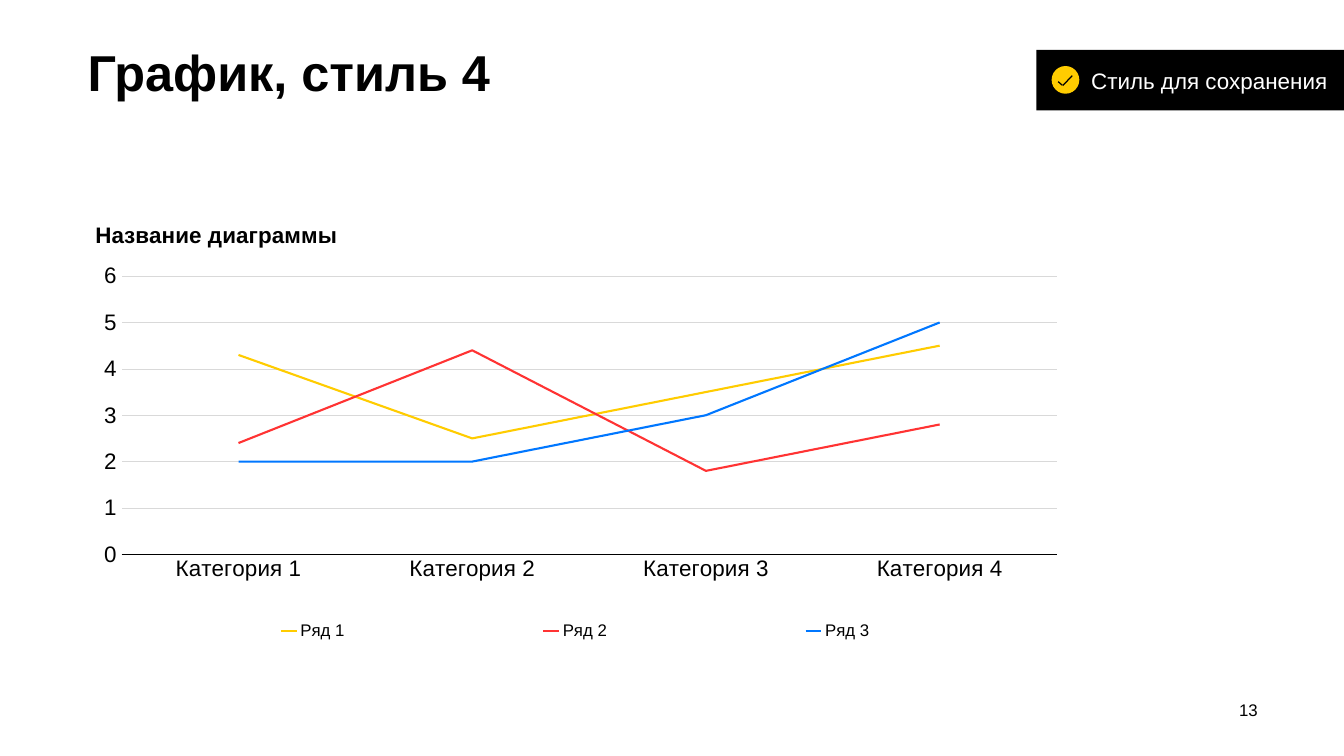
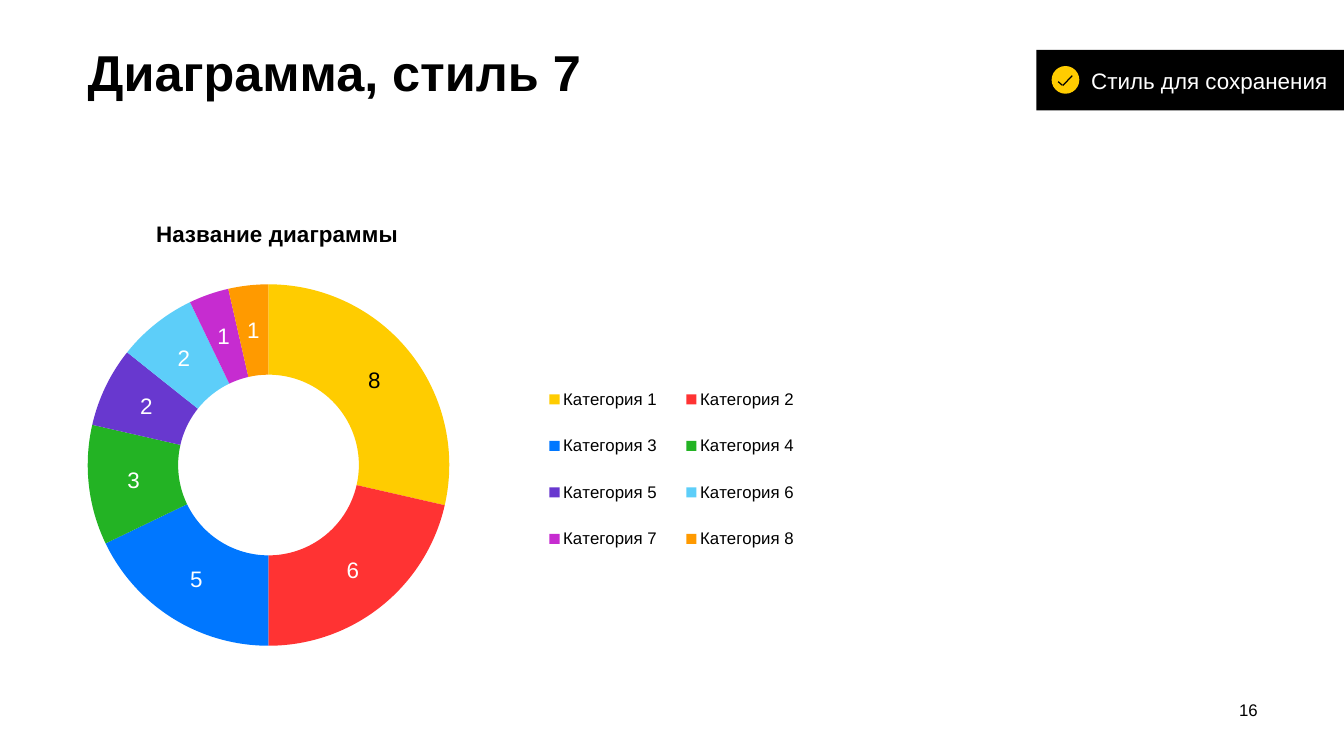
from lxml import etree
from pptx import Presentation
from pptx.chart.data import CategoryChartData
from pptx.dml.color import RGBColor
from pptx.enum.chart import XL_CHART_TYPE, XL_LEGEND_POSITION, XL_TICK_MARK
from pptx.enum.shapes import MSO_CONNECTOR, MSO_SHAPE
from pptx.enum.text import MSO_ANCHOR, PP_ALIGN
from pptx.oxml.ns import qn
from pptx.util import Pt

LINE, RING = XL_CHART_TYPE.LINE, XL_CHART_TYPE.DOUGHNUT
BOTTOM = XL_LEGEND_POSITION.BOTTOM
NONE, OUT = XL_TICK_MARK.NONE, XL_TICK_MARK.OUTSIDE
RECT, OVAL = MSO_SHAPE.RECTANGLE, MSO_SHAPE.OVAL
STRAIGHT = MSO_CONNECTOR.STRAIGHT
MIDDLE, LEFT, RIGHT = MSO_ANCHOR.MIDDLE, PP_ALIGN.LEFT, PP_ALIGN.RIGHT

FONT = "Arial"
HEX = {
    "black": "000000", "white": "FFFFFF", "grid": "D9D9D9",
    "yellow": "FFCC00", "red": "FF3333", "blue": "0077FF",
    "green": "23B324", "violet": "6838CF", "sky": "5DCEF9",
    "pink": "C62CD0", "orange": "FF9A00",
}
RGB = {name: RGBColor.from_string(code) for name, code in HEX.items()}
HUES = ["yellow", "red", "blue", "green", "violet", "sky", "pink", "orange"]


def style(font, size, hue="black", bold=False):
    font.name, font.size, font.bold = FONT, Pt(size), bold
    font.color.rgb = RGB[hue]


def place(node, index, **spots):
    """Give a chart part a manual layout, in fractions of the chart."""
    for old in node.findall(qn("c:layout")):
        node.remove(old)
    layout = etree.Element(qn("c:layout"))
    manual = etree.SubElement(layout, qn("c:manualLayout"))
    for tag, value in spots.items():
        etree.SubElement(manual, qn("c:" + tag)).set("val", str(value))
    node.insert(index, layout)


# Content: heading, page, chart kind, chart top and height, series,
# then the layouts of chart title, plot and legend
PAGES = [
    ("График, стиль 4", 13, LINE, 249.84, 685.44,
     {"Ряд 1": (4.3, 2.5, 3.5, 4.5),
      "Ряд 2": (2.4, 4.4, 1.8, 2.8),
      "Ряд 3": (2, 2, 3, 5)},
     (0.003, 0.086), (0.029, 0.211, 0.799, 0.58), (0, 0.9, 0.833, 0.1)),
    ("Диаграмма, стиль 7", 16, RING, 275.04, 693.36,
     {"Series 1": (8, 6, 5, 3, 2, 2, 1, 1)},
     (0.055, 0.046), (0, 0.187, 0.309, 0.749), (0.374, 0.35, 0.25, 0.44)),
]

deck = Presentation()
deck.slide_width, deck.slide_height = Pt(1919.52), Pt(1080)

for head, page, kind, top, high, rows, name_at, plot_at, key_at in PAGES:
    slide = deck.slides.add_slide(deck.slide_layouts[6])

    # Heading and page number
    for text, box, inset, size, bold, align in [
        (head, (125.28, 43.2, 1671.84, 114.48), 15.84, 72, True, LEFT),
        (str(page), (1710, 993.6, 86.4, 34.56), 5.76, 24, False, RIGHT),
    ]:
        frame = slide.shapes.add_textbox(*map(Pt, box)).text_frame
        frame.word_wrap = True
        frame.margin_left = frame.margin_right = frame.margin_bottom = 0
        frame.margin_top = Pt(inset)
        frame.text = text
        line = frame.paragraphs[0]
        line.alignment = align
        style(line.runs[0].font, size, bold=bold)
    frame.vertical_anchor = MIDDLE

    # Chart with its title and legend
    data = CategoryChartData()
    count = len(next(iter(rows.values())))
    data.categories = [f"Категория {n}" for n in range(1, count + 1)]
    for name, values in rows.items():
        data.add_series(name, values)
    chart = slide.shapes.add_chart(
        kind, Pt(125.28), Pt(top), Pt(1671.12), Pt(high), data).chart
    style(chart.font, 10)
    chart.has_title = chart.has_legend = True
    title, key, plot = chart.chart_title, chart.legend, chart.plots[0]
    title.text_frame.text = "Название диаграммы"
    style(title.text_frame.paragraphs[0].runs[0].font, 32, bold=True)
    key.position, key.include_in_layout = BOTTOM, False
    style(key.font, 24)
    area = chart.element.find(".//" + qn("c:plotArea"))
    title_node = chart.element.find(".//" + qn("c:title"))
    key_node = chart.element.find(".//" + qn("c:legend"))
    x, y = name_at
    place(title_node, 1, xMode="edge", yMode="edge", x=x, y=y)
    x, y, w, h = plot_at
    place(area, 0, layoutTarget="inner", xMode="edge", yMode="edge",
          x=x, y=y, w=w, h=h)
    x, y, w, h = key_at
    place(key_node, 1, xMode="edge", yMode="edge", x=x, y=y, w=w, h=h)
    plot.vary_by_categories = kind == RING

    if kind == LINE:
        # Axes and lines
        cats, vals = chart.category_axis, chart.value_axis
        for axis in (cats, vals):
            style(axis.tick_labels.font, 32)
            axis.minor_tick_mark = NONE
        cats.major_tick_mark, vals.major_tick_mark = NONE, OUT
        cats.format.line.color.rgb = RGB["black"]
        cats.format.line.width = Pt(1)
        vals.format.line.fill.background()
        vals.minimum_scale, vals.maximum_scale, vals.major_unit = 0, 6, 1
        grid = vals.major_gridlines.format.line
        grid.color.rgb, grid.width = RGB["grid"], Pt(1)
        for series, hue in zip(plot.series, HUES):
            series.smooth = False
            series.format.line.color.rgb = RGB[hue]
            series.format.line.width = Pt(3)
    else:
        # Ring slices and their values
        area.find(".//" + qn("c:holeSize")).set("val", "65")
        series = plot.series[0]
        for n, hue in enumerate(HUES):
            fill = series.points[n].format.fill
            fill.solid()
            fill.fore_color.rgb = RGB[hue]
        labels = series.data_labels
        labels.show_value = True
        style(labels.font, 32, "white")
        style(series.points[0].data_label.font, 32)

    # Ribbon with a check mark
    group = slide.shapes.add_group_shape()
    for form, box, hue in [
        (RECT, (1480.32, 71.28, 439.2, 86.4), "black"),
        (OVAL, (1501.92, 94.32, 39.6, 39.6), "yellow"),
    ]:
        shape = group.shapes.add_shape(form, *map(Pt, box))
        shape.shadow.inherit = False
        shape.fill.solid()
        shape.fill.fore_color.rgb = RGB[hue]
        shape.line.fill.background()
        if form == RECT:
            frame = shape.text_frame
            frame.word_wrap = True
            frame.margin_left, frame.margin_right = Pt(78), Pt(7.2)
            frame.margin_top = frame.margin_bottom = Pt(17.28)
            frame.vertical_anchor = MIDDLE
            frame.text = "Стиль для сохранения"
            frame.paragraphs[0].alignment = LEFT
            style(frame.paragraphs[0].runs[0].font, 32, "white")
    for ends in [(1511.28, 116.64, 1517.04, 121.68),
                 (1517.76, 122.4, 1531.44, 108)]:
        tick = group.shapes.add_connector(STRAIGHT, *map(Pt, ends))
        tick.line.color.rgb, tick.line.width = RGB["black"], Pt(1.75)
        etree.SubElement(tick.element.spPr, qn("a:effectLst"))

deck.save("out.pptx")
